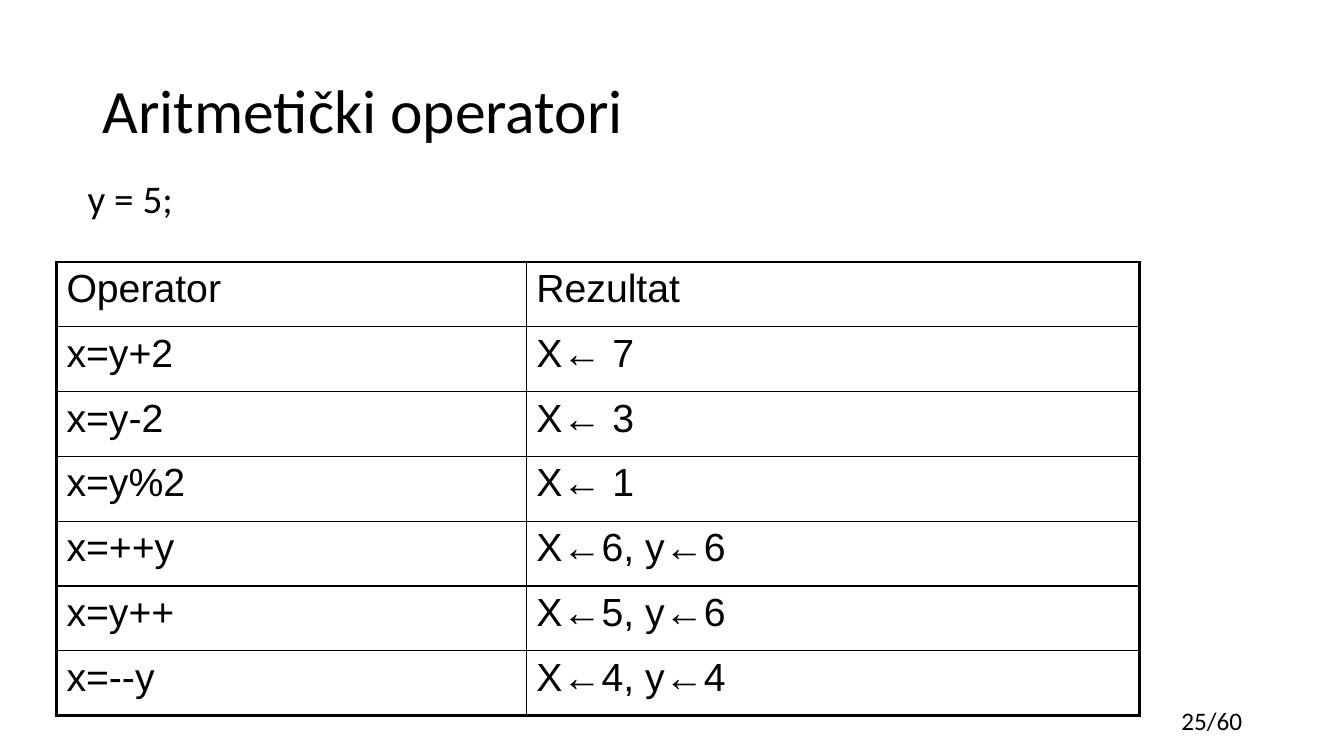
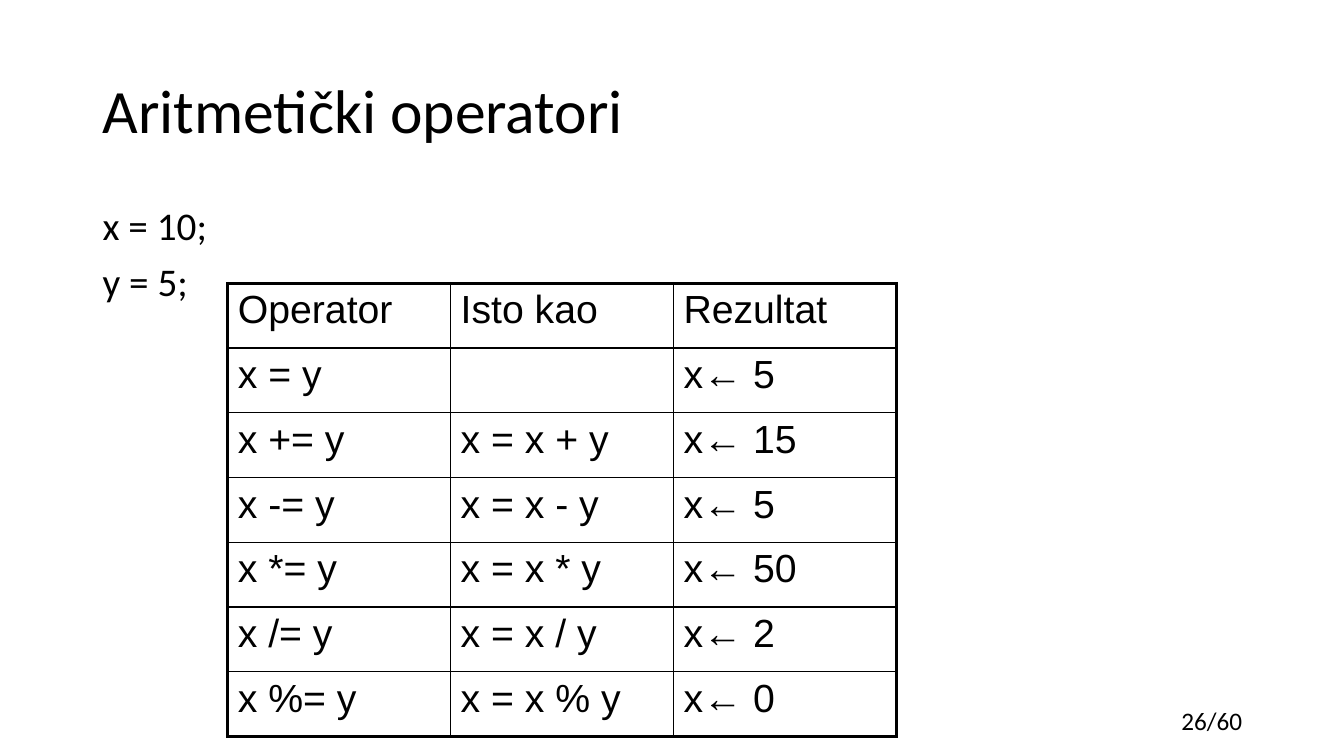
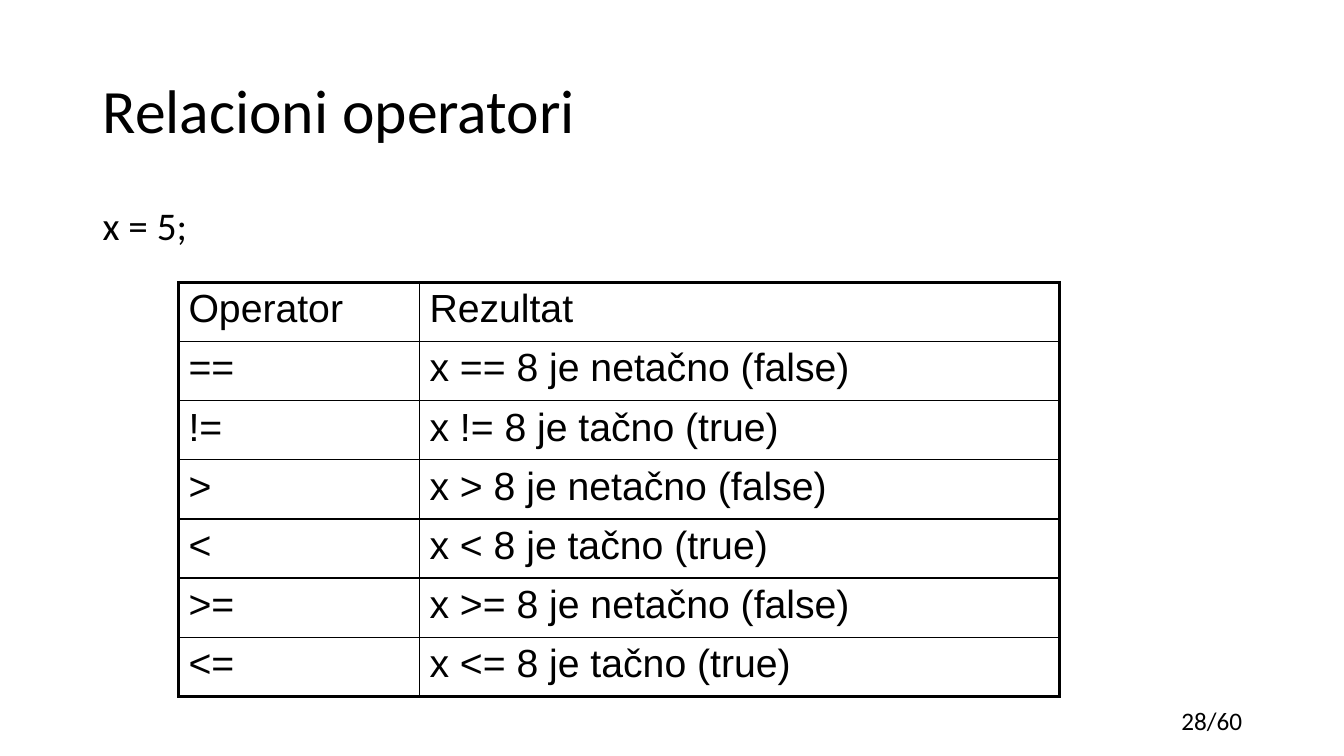
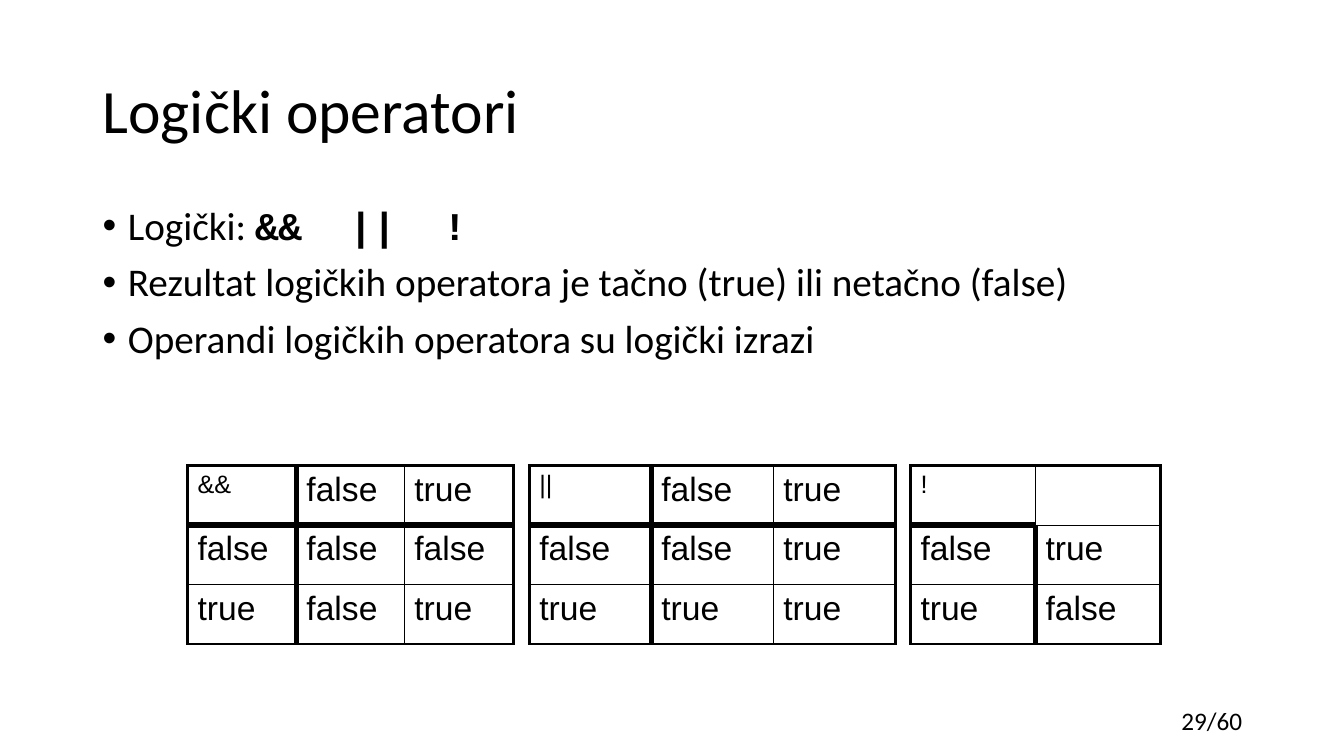
import pptx
import pptx.dml.color
import pptx.enum.text
import pptx.oxml
import pptx.oxml.ns
import pptx.util

PX = 9144
BLACK = pptx.dml.color.RGBColor(0x00, 0x00, 0x00)
WHITE = pptx.dml.color.RGBColor(0xFF, 0xFF, 0xFF)
THIN, OUTER, HEAVY = 1, 2.25, 4.5
BULLET_INDENT = 25 * PX

TITLE_FONT = {"name": "Calibri", "size": pptx.util.Pt(44)}
BODY_FONT = {"name": "Calibri", "size": pptx.util.Pt(28)}
FOOTER_FONT = {"name": "Calibri", "size": pptx.util.Pt(18)}
CODE_FONT = {"name": "Courier New", "size": pptx.util.Pt(28), "bold": True}
TABLE_FONT = {"name": "Arial", "size": pptx.util.Pt(28)}
TRUTH_FONT = {"name": "Arial", "size": pptx.util.Pt(24)}
CORNER_FONT = {"name": "Arial", "size": pptx.util.Pt(18)}

TITLE_PARA = {"line_spacing": 0.9}
FOOTER_PARA = {"alignment": pptx.enum.text.PP_ALIGN.RIGHT}
BODY_PARA = {"line_spacing": 0.9}

TITLE_AREA = (92, 40, 1150, 145)
BODY_AREA = (92, 200, 1150, 476)
FOOTER_AREA = (961, 695, 281, 40)

TRUTH_VALUES = ["false", "true"]
BINARY_RULES = {"heavy_columns": 3, "heavy_from_row": 0}
NEGATION_RULES = {"heavy_columns": 1, "heavy_from_row": 1}

SLIDES = [
    {
        "number": 25,
        "title": "Aritmetički operatori",
        "body_area": (77, 173, 442, 78),
        "body": ["y = 5;"],
        "tables": [{
            "at": (56, 260), "columns": [466, 608], "height": 450,
            "rows": [
                ["Operator", "Rezultat"],
                ["x=y+2", "X← 7"],
                ["x=y-2", "X← 3"],
                ["x=y%2", "X← 1"],
                ["x=++y", "X←6, y←6"],
                ["x=y++", "X←5, y←6"],
                ["x=--y", "X←4, y←4"],
            ],
        }],
    },
    {
        "number": 26,
        "title": "Aritmetički operatori",
        "body": ["x = 10;", "y = 5;"],
        "tables": [{
            "at": (226, 281), "columns": [221] * 3, "height": 450,
            "rows": [
                ["Operator", "Isto kao", "Rezultat"],
                ["x = y", "", "x← 5"],
                ["x += y", "x = x + y", "x← 15"],
                ["x -= y", "x = x - y", "x← 5"],
                ["x *= y", "x = x * y", "x← 50"],
                ["x /= y", "x = x / y", "x← 2"],
                ["x %= y", "x = x % y", "x← 0"],
            ],
        }],
    },
    {
        "number": 28,
        "title": "Relacioni operatori",
        "body": ["x = 5;"],
        "tables": [{
            "at": (177, 280), "columns": [239, 635], "height": 411,
            "rows": [
                ["Operator", "Rezultat"],
                ["==", "x == 8 je netačno (false)"],
                ["!=", "x != 8 je tačno (true)"],
                [">", "x > 8 je netačno (false)"],
                ["<", "x < 8 je tačno (true)"],
                [">=", "x >= 8 je netačno (false)"],
                ["<=", "x <= 8 je tačno (true)"],
            ],
        }],
    },
    {
        "number": 29,
        "title": "Logički operatori",
        "bullet": "•",
        "body": [
            "Logički: ",
            "Rezultat logičkih operatora je tačno (true) ili netačno (false)",
            "Operandi logičkih operatora su logički izrazi",
        ],
        "code": ["&&", " ", "||", " ", "!"],
        "tables": [
            {
                "at": (186, 462), "columns": [108, 107, 108], "height": 177,
                "rows": [["&&"] + TRUTH_VALUES,
                         ["false", "false", "false"],
                         ["true", "false", "true"]],
                "rules": BINARY_RULES,
            },
            {
                "at": (525, 462), "columns": [121] * 3, "height": 177,
                "rows": [["||"] + TRUTH_VALUES,
                         ["false", "false", "true"],
                         ["true", "true", "true"]],
                "rules": BINARY_RULES,
            },
            {
                "at": (903, 462), "columns": [124] * 2, "height": 177,
                "rows": [["!", ""], ["false", "true"], ["true", "false"]],
                "rules": NEGATION_RULES,
            },
        ],
    },
]


def add_span(para, text, font_format):
    span = para.add_run()
    span.text = text
    for name, value in font_format.items():
        setattr(span.font, name, value)
    span.font.color.rgb = BLACK
    return span


def add_text(page, area, lines, font_format, para_format):
    box = page.shapes.add_textbox(*(length * PX for length in area))
    frame = box.text_frame
    frame.word_wrap = True
    for index, line in enumerate(lines):
        para = frame.add_paragraph() if index else frame.paragraphs[0]
        for name, value in para_format.items():
            setattr(para, name, value)
        if index:
            para.space_before = pptx.util.Pt(10)
        add_span(para, line, font_format)
    return frame


deck = pptx.Presentation()
deck.slide_width = 1333 * PX
deck.slide_height = 750 * PX
background = deck.slide_master.background.fill
background.solid()
background.fore_color.rgb = WHITE

for content in SLIDES:
    page = deck.slides.add_slide(deck.slide_layouts[6])
    add_text(page, FOOTER_AREA, [f"{content['number']}/60"], FOOTER_FONT, FOOTER_PARA)
    title = add_text(page, TITLE_AREA, [content["title"]], TITLE_FONT, TITLE_PARA)
    title.vertical_anchor = pptx.enum.text.MSO_ANCHOR.MIDDLE

    body = add_text(page, content.get("body_area", BODY_AREA), content["body"],
                    BODY_FONT, BODY_PARA)
    if "bullet" in content:
        for para in body.paragraphs:
            properties = para._p.get_or_add_pPr()
            properties.set("marL", str(BULLET_INDENT))
            properties.set("indent", str(-BULLET_INDENT))
            for tag, key, value in (("a:buFont", "typeface", "Arial"),
                                    ("a:buChar", "char", content["bullet"])):
                properties.append(pptx.oxml.parse_xml(
                    f'<{tag} {pptx.oxml.ns.nsdecls("a")} {key}="{value}"/>'))
    for text in content.get("code", []):
        span = add_span(body.paragraphs[0], text, CODE_FONT)
        if text == " ":
            span._r.get_or_add_rPr().set("spc", "1680")

    for grid in content["tables"]:
        rows, columns = grid["rows"], grid["columns"]
        left, top = grid["at"]
        last_row, last_column = len(rows) - 1, len(columns) - 1
        rules = grid.get("rules", {"heavy_columns": 0, "heavy_from_row": len(rows)})
        table = page.shapes.add_table(
            len(rows), len(columns), left * PX, top * PX,
            sum(columns) * PX, grid["height"] * PX).table
        table.first_row = False
        table.horz_banding = False
        for column, width in zip(table.columns, columns):
            column.width = width * PX
        for row in table.rows:
            row.height = grid["height"] * PX // len(rows)

        for r, texts in enumerate(rows):
            for c, text in enumerate(texts):
                cell = table.cell(r, c)
                if text:
                    font_format = TABLE_FONT
                    if "rules" in grid:
                        font_format = TRUTH_FONT if r or c else CORNER_FONT
                    add_span(cell.text_frame.paragraphs[0], text, font_format)
                beside = HEAVY if r >= rules["heavy_from_row"] else THIN
                below = HEAVY if c < rules["heavy_columns"] else THIN
                borders = {
                    "lnL": OUTER if c == 0 else beside if c == 1 else THIN,
                    "lnR": OUTER if c == last_column else beside if c == 0 else THIN,
                    "lnT": OUTER if r == 0 else below if r == 1 else THIN,
                    "lnB": OUTER if r == last_row else below if r == 0 else THIN,
                }
                for side, weight in borders.items():
                    cell._tc.get_or_add_tcPr().append(pptx.oxml.parse_xml(
                        f'<a:{side} {pptx.oxml.ns.nsdecls("a")} w="{pptx.util.Pt(weight)}">'
                        f'<a:solidFill><a:srgbClr val="{BLACK}"/></a:solidFill></a:{side}>'))
                cell.fill.background()

deck.save("out.pptx")
